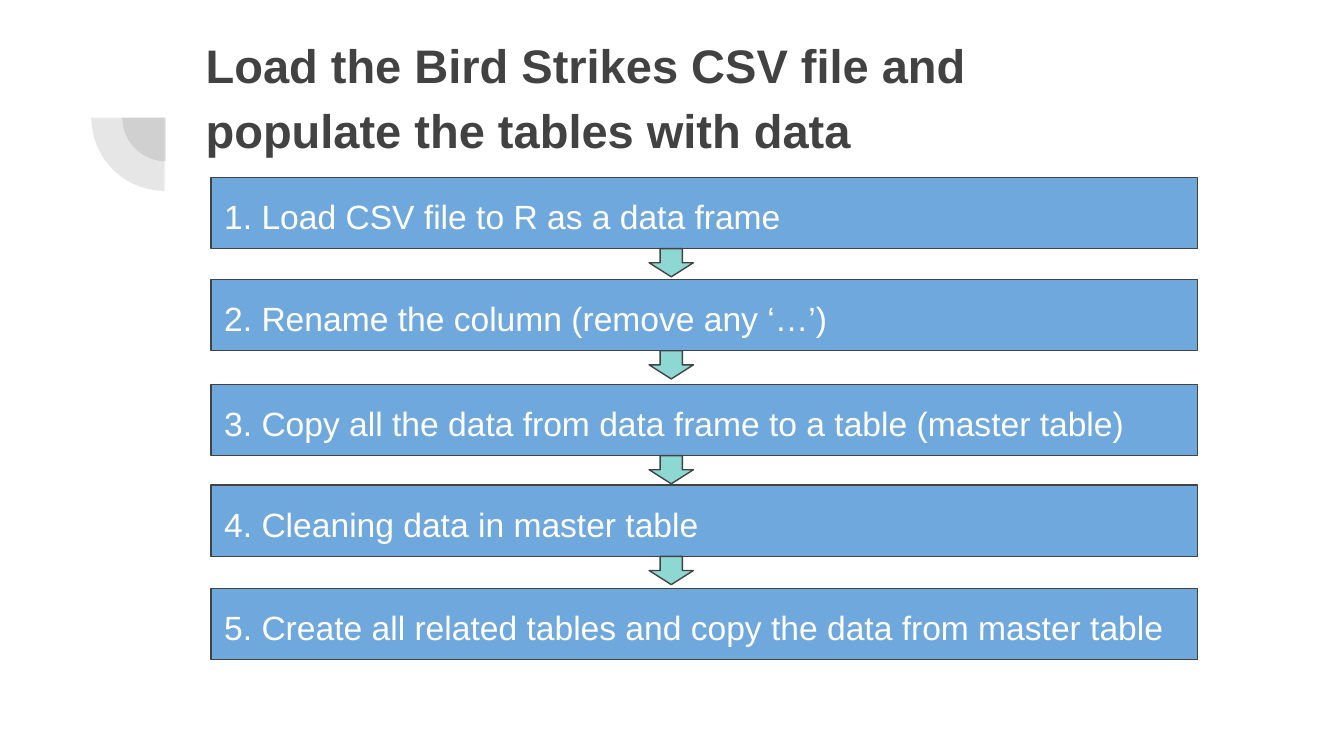
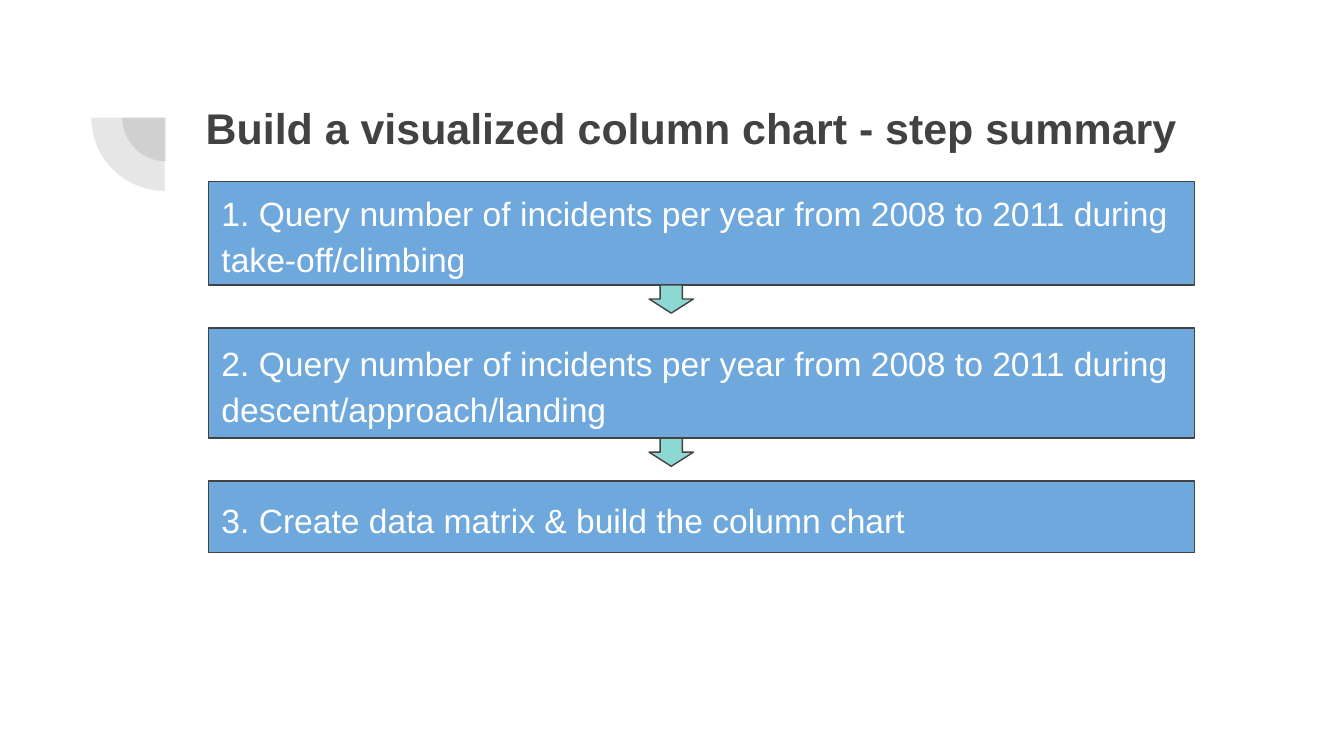
from dataclasses import dataclass

from lxml.etree import SubElement
from pptx import Presentation
from pptx.dml.color import RGBColor as Rgb
from pptx.enum.shapes import MSO_SHAPE as Kind
from pptx.enum.text import MSO_ANCHOR as Anchor, MSO_AUTO_SIZE as Fit, PP_ALIGN as Align
from pptx.oxml.ns import qn
from pptx.shapes.autoshape import Shape
from pptx.slide import Slide, SlideLayout
from pptx.text.text import TextFrame
from pptx.util import Inches, Pt


@dataclass(frozen=True)
class Theme:
    font: str = "Arial"
    dark: Rgb = Rgb(0x42, 0x42, 0x42)
    blue: Rgb = Rgb(0x6F, 0xA8, 0xDC)
    mint: Rgb = Rgb(0x8D, 0xD8, 0xD3)
    white: Rgb = Rgb(0xFF, 0xFF, 0xFF)
    long_title: float = 25.2
    short_title: float = 23
    step_size: float = 18
    line: float = 0.75
    spacing: float = 1.15
    inset: float = 0.1
    alpha: int = 13


@dataclass(frozen=True)
class Box:
    left: float
    top: float
    width: float
    height: float


@dataclass(frozen=True)
class Heading:
    text: str
    box: Box
    size: float
    spacing: float
    anchor: Anchor


@dataclass(frozen=True)
class Step:
    text: str
    top: float
    height: float = 0.53


@dataclass(frozen=True)
class Flow:
    heading: Heading
    left: float
    steps: tuple[Step, ...]


THEME = Theme()
SLIDE_WIDTH = Inches(10)
SLIDE_HEIGHT = SLIDE_WIDTH * 9 // 16
STEP_WIDTH = 7.34
ARROW_LEFT, ARROW_WIDTH, ARROW_HEIGHT = 4.83, 0.33, 0.21
PIES = (Box(0.91, 0.55, 0.65, 0.65), Box(0.68, 0.33, 1.09, 1.09))

FLOWS = (
    Flow(
        Heading(
            "Load the Bird Strikes CSV file and\npopulate the tables with data",
            Box(1.43, 0.11, 7.14, 0.87), THEME.long_title, THEME.spacing, Anchor.TOP,
        ),
        1.57,
        (
            Step("Load CSV file to R as a data frame", 1.32),
            Step("Rename the column (remove any ‘…’)", 2.08),
            Step("Copy all the data from data frame to a table (master table)", 2.86),
            Step("Cleaning data in master table", 3.61),
            Step("Create all related tables and copy the data from master table", 4.38),
        ),
    ),
    Flow(
        Heading(
            "Build a visualized column chart - step summary",
            Box(1.43, 0.65, 7.67, 0.59), THEME.short_title, 1.0, Anchor.BOTTOM,
        ),
        1.55,
        (
            Step("Query number of incidents per year from 2008 to 2011 during "
                 "take-off/climbing", 1.35, 0.77),
            Step("Query number of incidents per year from 2008 to 2011 during "
                 "descent/approach/landing", 2.44, 0.82),
            Step("Create data matrix & build the column chart", 3.58),
        ),
    ),
)


def place(shape: Shape, box: Box) -> None:
    shape.left, shape.top = Inches(box.left), Inches(box.top)
    shape.width, shape.height = Inches(box.width), Inches(box.height)


def write(frame: TextFrame, text: str, size: float, color: Rgb,
          bold: bool, spacing: float, anchor: Anchor) -> None:
    frame.text = text
    frame.word_wrap = True
    frame.auto_size = Fit.NONE
    frame.vertical_anchor = anchor
    frame.margin_left = frame.margin_right = Inches(THEME.inset)
    frame.margin_top = frame.margin_bottom = Inches(THEME.inset)
    for para in frame.paragraphs:
        para.alignment = Align.LEFT
        para.line_spacing = spacing
        para.space_before = para.space_after = Pt(0)
        for run in para.runs:
            run.font.name = THEME.font
            run.font.size = Pt(size)
            run.font.bold = bold
            run.font.color.rgb = color


def add_block(slide: Slide, kind: Kind, box: Box, fill: Rgb) -> Shape:
    shape = slide.shapes.add_shape(kind, 0, 0, 0, 0)
    place(shape, box)
    shape.shadow.inherit = False
    shape.fill.solid()
    shape.fill.fore_color.rgb = fill
    shape.line.color.rgb = THEME.dark
    shape.line.width = Pt(THEME.line)
    return shape


def add_mark(slide: Slide, layout: SlideLayout) -> None:
    """Build the quarter circles on a slide and move them to its layout."""
    for index, box in enumerate(PIES):
        pie = add_block(slide, Kind.PIE, box, THEME.dark)
        pie.line.fill.background()
        pie.adjustments[0], pie.adjustments[1] = 108, 162
        pie.rotation = 270
        color = pie.element.spPr.find(".//" + qn("a:srgbClr"))
        SubElement(color, qn("a:alpha")).set("val", str(THEME.alpha * 1000))
        pie.element.nvSpPr.cNvPr.set("id", str(100 + index))
        layout.shapes.element.append(pie.element)


def add_title(slide: Slide, head: Heading) -> None:
    title = slide.shapes.title
    place(title, head.box)
    write(title.text_frame, head.text, head.size, THEME.dark,
          True, head.spacing, head.anchor)


def add_flow(slide: Slide, flow: Flow) -> None:
    """Draw numbered steps with a down arrow under all but the last."""
    for number, step in enumerate(flow.steps, 1):
        box = Box(flow.left, step.top, STEP_WIDTH, step.height)
        block = add_block(slide, Kind.RECTANGLE, box, THEME.blue)
        write(block.text_frame, f"{number}. {step.text}", THEME.step_size,
              THEME.white, False, THEME.spacing, Anchor.MIDDLE)
        if number < len(flow.steps):
            below = Box(ARROW_LEFT, step.top + step.height, ARROW_WIDTH, ARROW_HEIGHT)
            add_block(slide, Kind.DOWN_ARROW, below, THEME.mint)


def main() -> None:
    deck = Presentation()
    deck.slide_width, deck.slide_height = SLIDE_WIDTH, SLIDE_HEIGHT
    layout = deck.slide_layouts[5]
    for index, flow in enumerate(FLOWS):
        slide = deck.slides.add_slide(layout)
        if index == 0:
            add_mark(slide, layout)
        add_title(slide, flow.heading)
        add_flow(slide, flow)
    deck.save("out.pptx")


if __name__ == "__main__":
    main()
